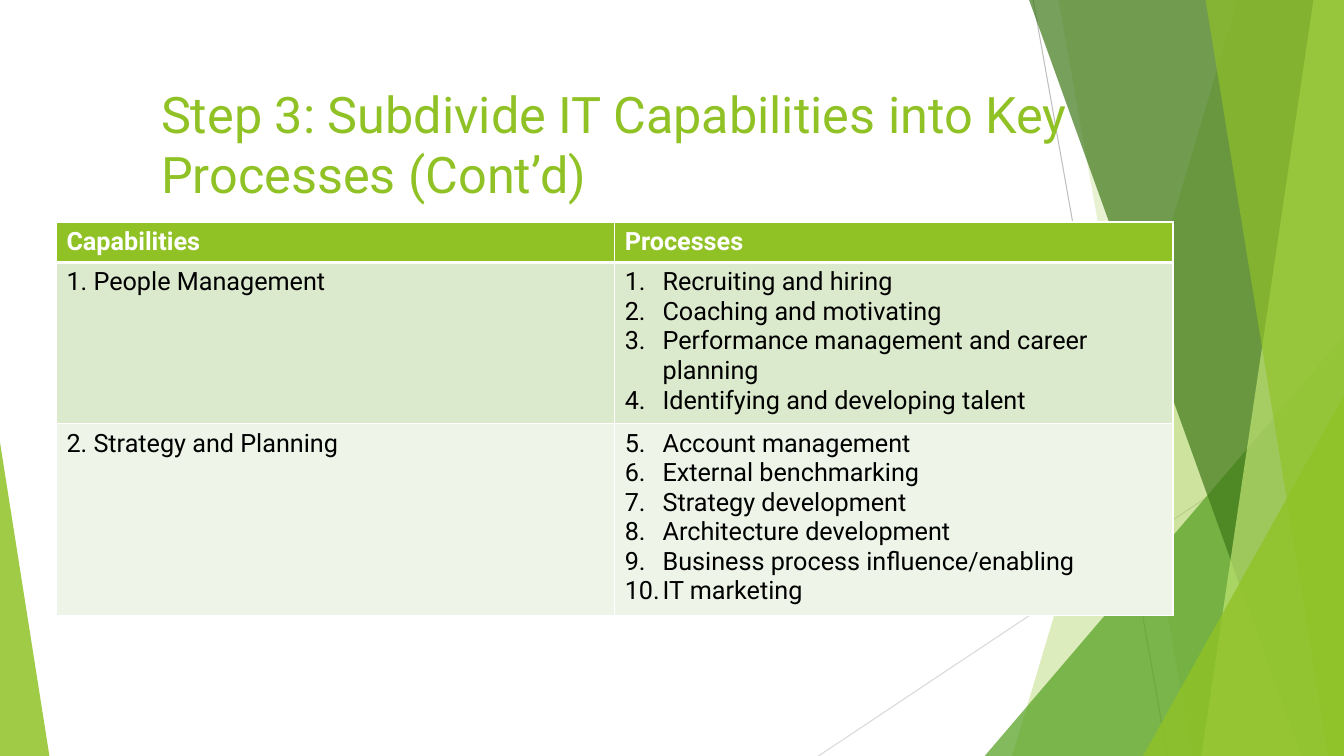
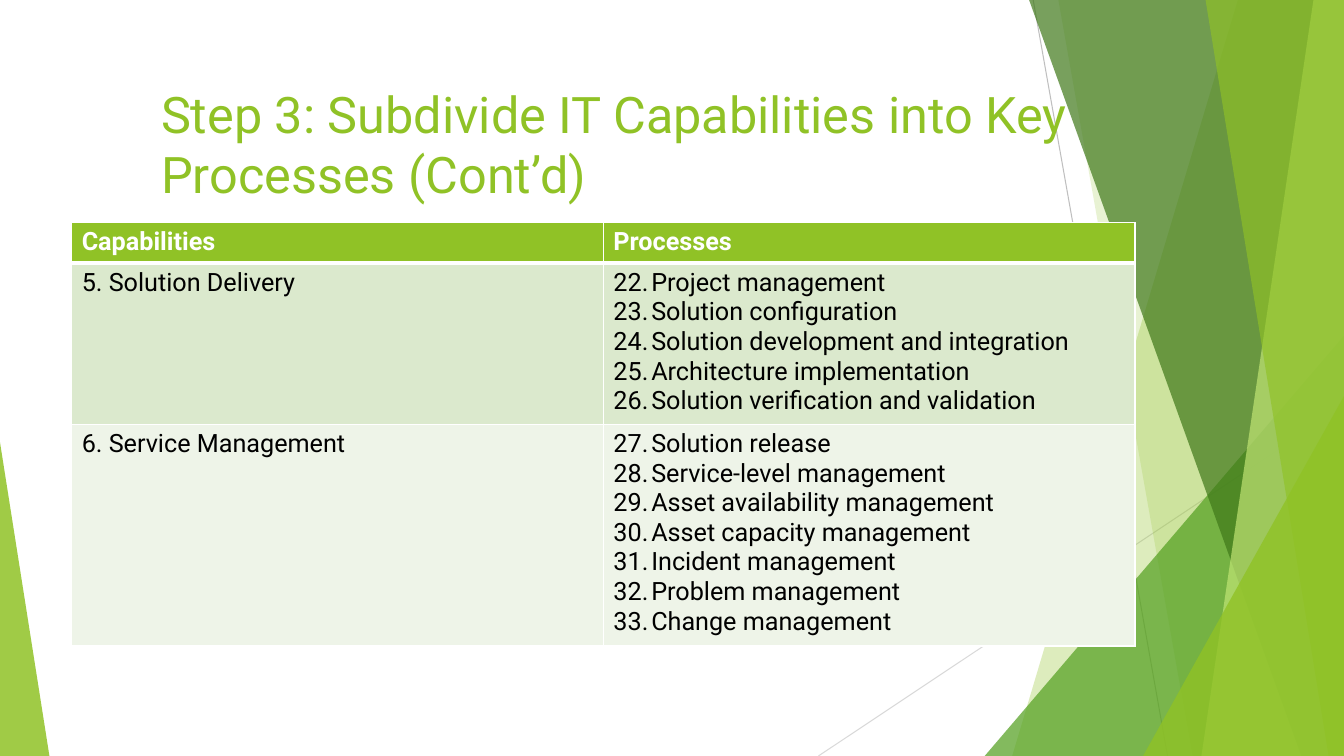
from lxml import etree
from pptx import Presentation
from pptx.dml.color import RGBColor
from pptx.enum import shapes, text
from pptx.oxml.ns import qn
from pptx.util import Pt

W, H = 960, 540
FONT = "Roboto"
COLORS = {
    "lime": "90C226", "green": "54A021", "forest": "3F7819", "pale": "C0E474",
    "grey": "BFBFBF", "silver": "D9D9D9", "white": "FFFFFF", "black": "000000",
    "band1": "DBE9CD", "band2": "EEF4E8",
}
TITLE = "Step 3: Subdivide IT Capabilities into Key Processes (Cont’d)"
TITLE_BOX = (108, 54, 813.6, 96.5)
RAYS = [("grey", 738, 0, 834, H), ("silver", W, 290, 584.6, H)]
STRIP, TRIANGLE = "strip", "triangle"
FACETS = [
    (STRIP, "lime", 30, (884.2, 723)),
    (STRIP, "lime", 20, (756, 851.8)),
    (TRIANGLE, "green", 72, (703.4, 239.8, 256.6, 1)),
    (STRIP, "forest", 70, (735.1, 929.5)),
    (STRIP, "pale", 70, (938.2, 858.2)),
    (STRIP, "lime", 65, (861.1, 949)),
    (TRIANGLE, "lime", 80, (816.5, 283, 143.5, 1)),
    (TRIANGLE, "lime", 85, (0, 316, 35.3, 0)),
]
TABLES = [
    {
        "box": (40.3, 158.6, 797.6), "heights": (28.8, 115, 137),
        "rows": [
            ("1. People Management", 1, [
                "Recruiting and hiring", "Coaching and motivating",
                "Performance management and career planning",
                "Identifying and developing talent"]),
            ("2. Strategy and Planning", 5, [
                "Account management", "External benchmarking",
                "Strategy development", "Architecture development",
                "Business process influence/enabling", "IT marketing"]),
        ],
    },
    {
        "box": (51.2, 159, 759.6), "heights": (28.4, 112.5, 155),
        "rows": [
            ("5. Solution Delivery", 22, [
                "Project management", "Solution configuration",
                "Solution development and integration",
                "Architecture implementation",
                "Solution verification and validation"]),
            ("6. Service Management", 27, [
                "Solution release", "Service-level management",
                "Asset availability management", "Asset capacity management",
                "Incident management", "Problem management",
                "Change management"]),
        ],
    },
]


def rgb(name):
    """Return the named colour."""
    return RGBColor.from_string(COLORS[name])


def add_run(p, words, size, color, bold=False):
    """Add one styled run to a paragraph."""
    r = p.add_run()
    r.text = words
    r.font.name, r.font.size, r.font.bold = FONT, Pt(size), bold
    r.font.color.rgb = rgb(color)


def paint(sp, color, opacity):
    """Give a shape a translucent fill without line or shadow."""
    sp.shadow.inherit = False
    sp.line.fill.background()
    sp.fill.solid()
    sp.fill.fore_color.rgb = rgb(color)
    clr = sp.fill._xPr.find(".//" + qn("a:srgbClr"))
    etree.SubElement(clr, qn("a:alpha")).set("val", str(opacity * 1000))


def add_strip(s, top_x, bottom_x):
    """Add a full-height strip from a slanted left side to the right edge."""
    fb = s.shapes.build_freeform(Pt(top_x), Pt(0))
    corners = [(W, 0), (W, H), (bottom_x, H)]
    fb.add_line_segments([(Pt(x), Pt(y)) for x, y in corners], close=True)
    return fb.convert_to_shape()


def add_triangle(s, x, y, width, apex):
    """Add a triangle standing on the bottom edge of the slide."""
    sp = s.shapes.add_shape(shapes.MSO_SHAPE.ISOSCELES_TRIANGLE,
                            Pt(x), Pt(y), Pt(width), Pt(H - y))
    sp.adjustments[0] = apex
    return sp


def add_backdrop(s):
    """Draw the thin rays and the green facets."""
    for color, *ends in RAYS:
        ray = s.shapes.add_connector(shapes.MSO_CONNECTOR.STRAIGHT,
                                     *[Pt(v) for v in ends])
        ray.line.color.rgb = rgb(color)
        ray.line.width = Pt(0.75)
        etree.SubElement(ray._element.spPr, qn("a:effectLst"))
    makers = {STRIP: add_strip, TRIANGLE: add_triangle}
    for kind, color, opacity, place in FACETS:
        paint(makers[kind](s, *place), color, opacity)


def add_title(s, box):
    """Place the slide title in its box."""
    tf = s.shapes.add_textbox(*[Pt(v) for v in box]).text_frame
    tf.word_wrap = True
    tf.vertical_anchor = text.MSO_ANCHOR.MIDDLE
    add_run(tf.paragraphs[0], TITLE, 36, "lime")


def style_cell(cell, fill, top, bottom):
    """Set white borders of the given top and bottom widths, then the fill."""
    tc_pr = cell._tc.get_or_add_tcPr()
    for side, width in (("L", 1), ("R", 1), ("T", top), ("B", bottom)):
        ln = etree.SubElement(tc_pr, qn("a:ln" + side), w=str(Pt(width)))
        solid = etree.SubElement(ln, qn("a:solidFill"))
        etree.SubElement(solid, qn("a:srgbClr"), val=COLORS["white"])
    cell.fill.solid()
    cell.fill.fore_color.rgb = rgb(fill)


def number(p, start):
    """Turn a paragraph into an item of a numbered list."""
    p_pr = p._p.get_or_add_pPr()
    p_pr.set("marL", str(Pt(27)))
    p_pr.set("indent", str(-Pt(27)))
    etree.SubElement(p_pr, qn("a:buFont"), typeface="+mj-lt")
    etree.SubElement(p_pr, qn("a:buAutoNum"), type="arabicPeriod",
                     startAt=str(start))


def add_processes(s, box, heights, rows):
    """Add the table of capabilities and their numbered processes."""
    x, y, width = box
    table = s.shapes.add_table(len(heights), 2, Pt(x), Pt(y), Pt(width),
                               Pt(sum(heights))).table
    for col in table.columns:
        col.width = Pt(width / 2)
    for row, height in zip(table.rows, heights):
        row.height = Pt(height)
    for c, heading in enumerate(("Capabilities", "Processes")):
        cell = table.cell(0, c)
        style_cell(cell, "lime", 1, 3)
        add_run(cell.text_frame.paragraphs[0], heading, 18, "white", True)
    for i, (capability, start, processes) in enumerate(rows, 1):
        left, right = table.cell(i, 0), table.cell(i, 1)
        for cell in (left, right):
            style_cell(cell, f"band{i}", 3 if i == 1 else 1, 1)
        add_run(left.text_frame.paragraphs[0], capability, 18, "black")
        tf = right.text_frame
        for n, process in enumerate(processes):
            p = tf.add_paragraph() if n else tf.paragraphs[0]
            number(p, start)
            add_run(p, process, 18, "black")


def main():
    """Build and save the presentation."""
    prs = Presentation()
    prs.slide_width, prs.slide_height = Pt(W), Pt(H)
    for content in TABLES:
        s = prs.slides.add_slide(prs.slide_layouts[6])
        add_backdrop(s)
        add_title(s, TITLE_BOX)
        add_processes(s, **content)
    prs.save("out.pptx")


if __name__ == "__main__":
    main()
